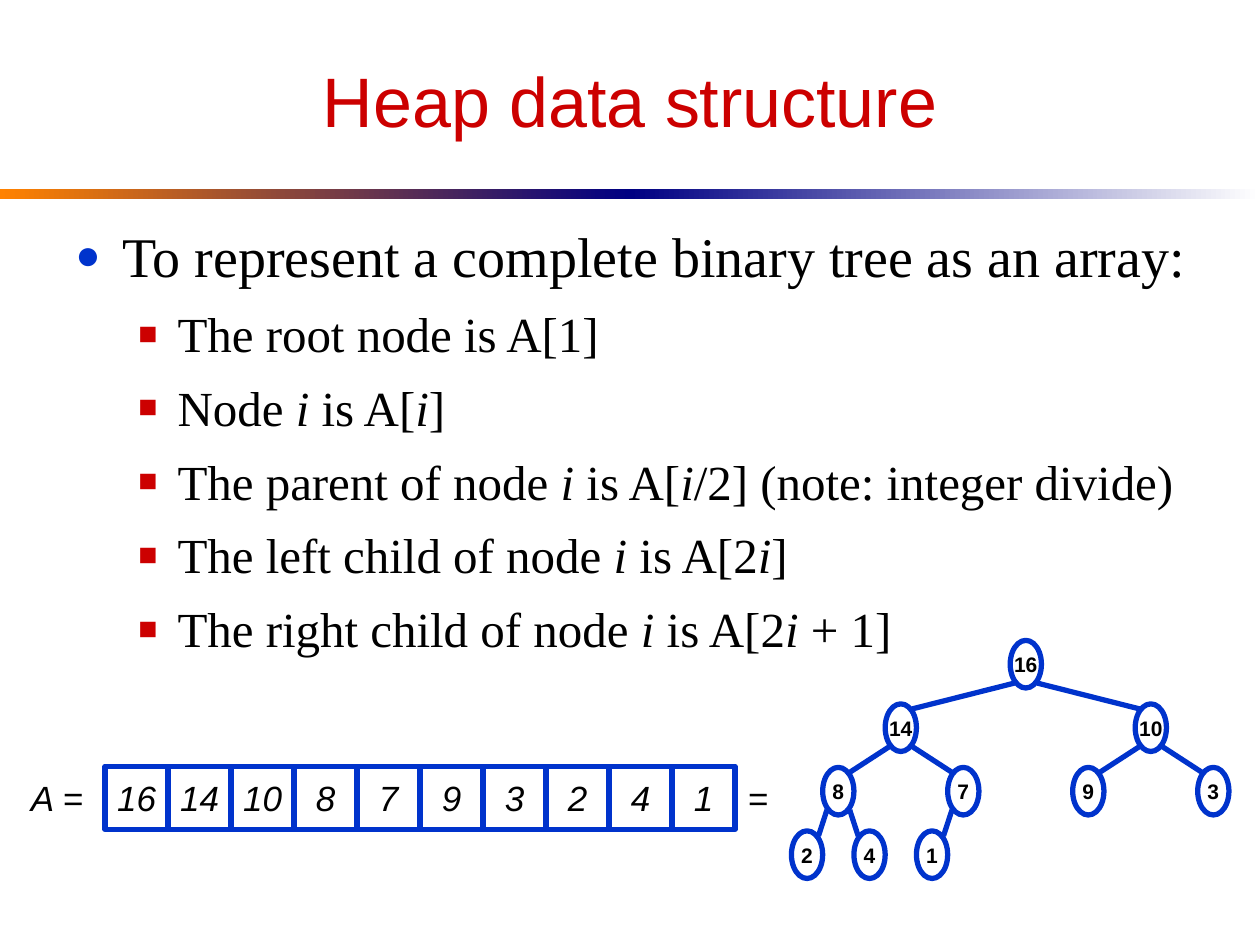
from lxml.etree import SubElement
from pptx import Presentation
from pptx.dml.color import RGBColor
from pptx.enum.shapes import MSO_CONNECTOR, MSO_SHAPE
from pptx.enum.text import MSO_ANCHOR, PP_ALIGN
from pptx.oxml.ns import qn
from pptx.util import Cm, Pt

BLACK = RGBColor(0x00, 0x00, 0x00)
WHITE = RGBColor(0xFF, 0xFF, 0xFF)
BLUE = RGBColor(0x00, 0x33, 0xCC)
RED = RGBColor(0xCC, 0x00, 0x00)
ORANGE = RGBColor(0xFF, 0x82, 0x00)
NAVY = RGBColor(0x00, 0x00, 0x82)

TITLE = "Heap data structure"
# (level, text); asterisks enclose italic parts
POINTS = [
    (0, "To represent a complete binary tree as an array:"),
    (1, "The root node is A[1]"),
    (1, "Node *i* is A[*i*]"),
    (1, "The parent of node *i* is A[*i*/2] (note: integer divide)"),
    (1, "The left child of node *i* is A[2*i*]"),
    (1, "The right child of node *i* is A[2*i* + 1]"),
]
LEVELS = [
    dict(size=32, margin=0.95, hang=0.95, bullet="●", color=BLUE, percent=75),
    dict(size=28, margin=2.06, hang=0.79, bullet="■", color=RED, percent=65),
]
HEAP = [16, 14, 10, 8, 7, 9, 3, 2, 4, 1]

# All measures in centimetres
CELL, ARRAY_LEFT, ARRAY_TOP = 1.27, 2.12, 15.45
NODE_WIDTH, NODE_HEIGHT = 0.63, 0.96
ROOT_X, ROOT_Y, LEVEL_GAP, FIRST_SPREAD = 20.68, 13.39, 1.28, 2.52
EDGE_X, EDGE_Y = 0.23, 0.38  # where an edge meets a node, from its centre


def write_centered(shape, text, size, color=BLACK, bold=False, italic=False):
    frame = shape.text_frame
    frame.word_wrap = False
    frame.vertical_anchor = MSO_ANCHOR.MIDDLE
    paragraph = frame.paragraphs[0]
    paragraph.text = str(text)
    paragraph.alignment = PP_ALIGN.CENTER
    font = paragraph.font
    font.name, font.size, font.color.rgb = "Arial", Pt(size), color
    font.bold, font.italic = bold, italic


def add_label(slide, box, text, size, **style):
    shape = slide.shapes.add_textbox(*map(Cm, box))
    write_centered(shape, text, size, **style)


def add_value(shapes, kind, box, value, size, **style):
    """Add a white shape with a blue outline that holds one heap value."""
    shape = shapes.add_shape(kind, *map(Cm, box))
    shape.shadow.inherit = False
    shape.fill.solid()
    shape.fill.fore_color.rgb = WHITE
    shape.line.color.rgb = BLUE
    shape.line.width = Pt(3)
    write_centered(shape, value, size, **style)


def add_gradient_bar(slide, left, start, end):
    bar = slide.shapes.add_shape(
        MSO_SHAPE.RECTANGLE, Cm(left), Cm(3.81), Cm(12.7), Cm(0.2))
    bar.shadow.inherit = False
    bar.line.fill.background()
    bar.fill.gradient()
    bar.fill.gradient_angle = 0
    for stop, color, position in zip(bar.fill.gradient_stops, (start, end), (0, 1)):
        stop.color.rgb = color
        stop.position = position


def set_bullet(paragraph, level):
    properties = paragraph._p.get_or_add_pPr()
    properties.set("marL", str(Cm(level["margin"])))
    properties.set("indent", str(-Cm(level["hang"])))
    color = SubElement(properties, qn("a:buClr"))
    SubElement(color, qn("a:srgbClr"), val=str(level["color"]))
    SubElement(properties, qn("a:buSzPct"), val=str(level["percent"] * 1000))
    SubElement(properties, qn("a:buFont"), typeface="Arial")
    SubElement(properties, qn("a:buChar"), char=level["bullet"])


def add_points(slide):
    box = slide.shapes.add_textbox(Cm(1.27), Cm(4.24), Cm(23.06), Cm(12.07))
    frame = box.text_frame
    frame.word_wrap = True
    frame.margin_top = Cm(0.23)
    for index, (depth, text) in enumerate(POINTS):
        paragraph = frame.add_paragraph() if index else frame.paragraphs[0]
        level = LEVELS[depth]
        paragraph.level = depth
        if index:
            paragraph.space_before = Pt(8.5)
        set_bullet(paragraph, level)
        font = paragraph.font
        font.name, font.size = "Times New Roman", Pt(level["size"])
        font.color.rgb = BLACK
        for part, words in enumerate(text.split("*")):
            run = paragraph.add_run()
            run.text = words
            if part % 2:
                run.font.italic = True


def add_array(slide):
    for index, value in enumerate(HEAP):
        box = (ARRAY_LEFT + index * CELL, ARRAY_TOP, CELL, CELL)
        add_value(slide.shapes, MSO_SHAPE.RECTANGLE, box, value, 20, italic=True)
    add_label(slide, (0.2, ARRAY_TOP, 1.9, CELL), "A =", 20, italic=True)
    array_right = ARRAY_LEFT + len(HEAP) * CELL
    add_label(slide, (array_right, ARRAY_TOP, 0.84, CELL), "=", 20, italic=True)


def place_nodes():
    """Return the centre of each node, keyed by its 1-based heap index."""
    centers = {1: (ROOT_X, ROOT_Y)}
    for index in range(2, len(HEAP) + 1):
        x, y = centers[index // 2]
        spread = FIRST_SPREAD / 2 ** (index.bit_length() - 2)
        side = 1 if index % 2 else -1
        centers[index] = (x + side * spread, y + LEVEL_GAP)
    return centers


def add_tree(slide):
    shapes = slide.shapes.add_group_shape().shapes
    centers = place_nodes()
    for index, (x, y) in centers.items():
        box = (x - NODE_WIDTH / 2, y - NODE_HEIGHT / 2, NODE_WIDTH, NODE_HEIGHT)
        add_value(shapes, MSO_SHAPE.OVAL, box, HEAP[index - 1], 12, bold=True)
    for index in range(2, len(HEAP) + 1):
        parent_x, parent_y = centers[index // 2]
        x, y = centers[index]
        side = 1 if index % 2 else -1
        ends = (parent_x + side * EDGE_X, parent_y + EDGE_Y,
                x - side * EDGE_X, y - EDGE_Y)
        edge = shapes.add_connector(MSO_CONNECTOR.STRAIGHT, *map(Cm, ends))
        edge.line.color.rgb = BLUE
        edge.line.width = Pt(3)
        SubElement(edge._element.spPr, qn("a:effectLst"))


def main():
    presentation = Presentation()
    presentation.slide_width, presentation.slide_height = Cm(25.4), Cm(19.05)
    slide = presentation.slides.add_slide(presentation.slide_layouts[6])
    add_gradient_bar(slide, 0, ORANGE, NAVY)
    add_gradient_bar(slide, 12.7, NAVY, WHITE)
    add_label(slide, (1.27, 0.64, 22.86, 2.75), TITLE, 40, color=RED)
    add_points(slide)
    add_tree(slide)
    add_array(slide)
    presentation.save("out.pptx")


if __name__ == "__main__":
    main()
